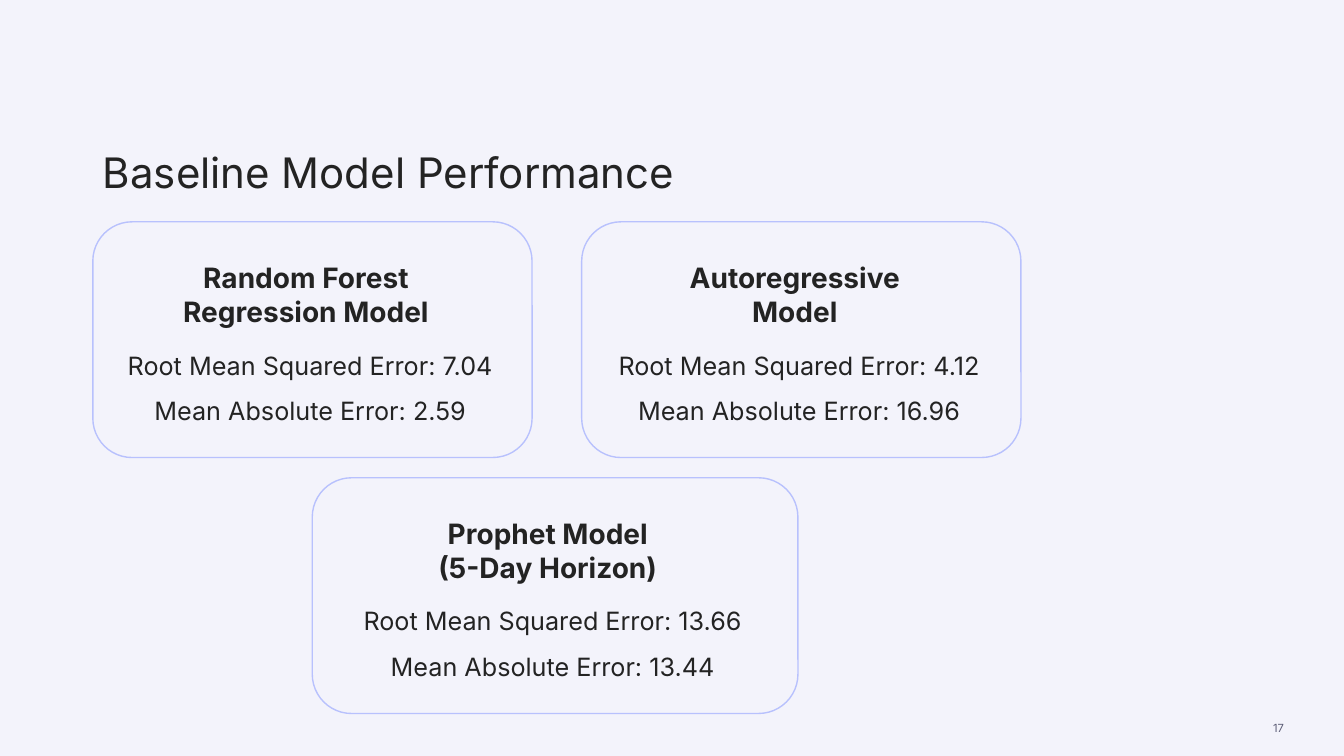
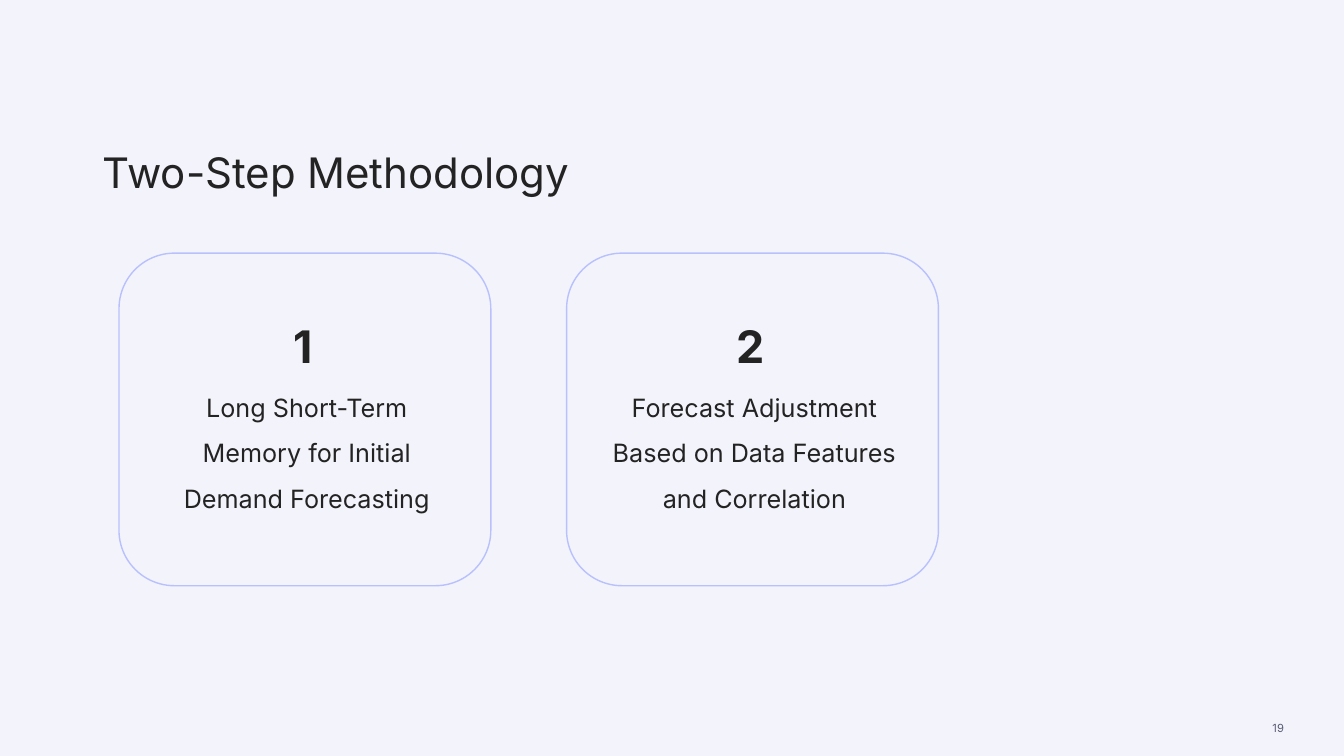
import pptx
import pptx.dml.color
import pptx.enum.shapes
import pptx.enum.text
import pptx.util

Cm = pptx.util.Cm
ALIGN = pptx.enum.text.PP_ALIGN
ANCHOR = pptx.enum.text.MSO_ANCHOR

COLORS = {"background": "F3F3FB", "ink": "232323", "outline": "B8C1FD", "muted": "5C5D76"}
FONT = "Inter"
TITLE_ONLY = 5

MODEL_CARD = {
    "heading": {"left": 0.11, "width": 0.75, "top": 0.85, "height": 1.96, "size": 20},
    "body": {"left": 0.05, "width": 0.89, "top": 2.72, "height": 2.44, "size": 18},
}
STEP_CARD = {
    "heading": {"left": 0.07, "width": 0.85, "top": 1.52, "height": 1.63, "size": 32},
    "body": {"left": 0.08, "width": 0.85, "top": 3, "height": 3.58, "size": 18},
}


def rgb(name):
    return pptx.dml.color.RGBColor.from_string(COLORS[name])


def write(frame, lines, size, color="ink", bold=False, align=ALIGN.CENTER,
          anchor=ANCHOR.TOP, spacing=1.0):
    frame.word_wrap = True
    frame.auto_size = pptx.enum.text.MSO_AUTO_SIZE.NONE
    frame.vertical_anchor = anchor
    frame.text = "\n".join(lines)
    for paragraph in frame.paragraphs:
        paragraph.alignment = align
        paragraph.line_spacing = spacing
        paragraph.font.name = FONT
        paragraph.font.size = pptx.util.Pt(size)
        paragraph.font.bold = bold
        paragraph.font.color.rgb = rgb(color)


def add_slide(prs, title, number):
    slide = prs.slides.add_slide(prs.slide_layouts[TITLE_ONLY])
    heading = slide.shapes.title
    heading.left, heading.top = Cm(2.34), Cm(2.41)
    heading.width, heading.height = Cm(23.88), Cm(2.69)
    write(heading.text_frame, [title], 30, align=ALIGN.LEFT, anchor=ANCHOR.BOTTOM)
    page = slide.shapes.add_textbox(Cm(26.72), Cm(17.63), Cm(5.89), Cm(1.42))
    write(page.text_frame, [str(number)], 8, color="muted", align=ALIGN.RIGHT,
          anchor=ANCHOR.MIDDLE)
    return slide


def add_card(slide, left, top, width, height, style, heading, body):
    card = slide.shapes.add_group_shape().shapes
    frame = card.add_shape(pptx.enum.shapes.MSO_SHAPE.ROUNDED_RECTANGLE,
                           Cm(left), Cm(top), Cm(width), Cm(height))
    frame.shadow.inherit = False
    frame.fill.background()
    frame.line.color.rgb = rgb("outline")
    frame.line.width = pptx.util.Pt(1)
    for part, lines, bold, spacing in (("heading", heading, True, 1.0),
                                       ("body", body, False, 1.5)):
        place = style[part]
        label = card.add_textbox(Cm(left + place["left"] * width), Cm(top + place["top"]),
                                 Cm(place["width"] * width), Cm(place["height"]))
        write(label.text_frame, lines, place["size"], bold=bold, spacing=spacing)


def add_performance(prs):
    slide = add_slide(prs, "Baseline Model Performance", 17)
    models = (
        (2.34, 5.59, 11.07, ["Random Forest Regression Model"], "7.04", "2.59"),
        (14.66, 5.59, 11.07, ["Autoregressive", "Model"], "4.12", "16.96"),
        (7.87, 12.04, 12.24, ["Prophet Model", "(5-Day Horizon)"], "13.66", "13.44"),
    )
    for left, top, width, name, squared, absolute in models:
        metrics = [f"Root Mean Squared Error: {squared}", f"Mean Absolute Error: {absolute}"]
        add_card(slide, left, top, width, 5.94, MODEL_CARD, name, metrics)


def add_methodology(prs):
    slide = add_slide(prs, "Two-Step Methodology", 19)
    steps = (
        "Long Short-Term Memory for Initial Demand Forecasting",
        "Forecast Adjustment Based on Data Features and Correlation",
    )
    for index, step in enumerate(steps):
        add_card(slide, 3 + index * 11.28, 6.38, 9.37, 8.38, STEP_CARD,
                 [str(index + 1)], [step])


def main():
    prs = pptx.Presentation()
    prs.slide_width, prs.slide_height = Cm(33.87), Cm(19.05)
    backdrop = prs.slide_master.background.fill
    backdrop.solid()
    backdrop.fore_color.rgb = rgb("background")
    add_performance(prs)
    add_methodology(prs)
    prs.save("out.pptx")


if __name__ == "__main__":
    main()
